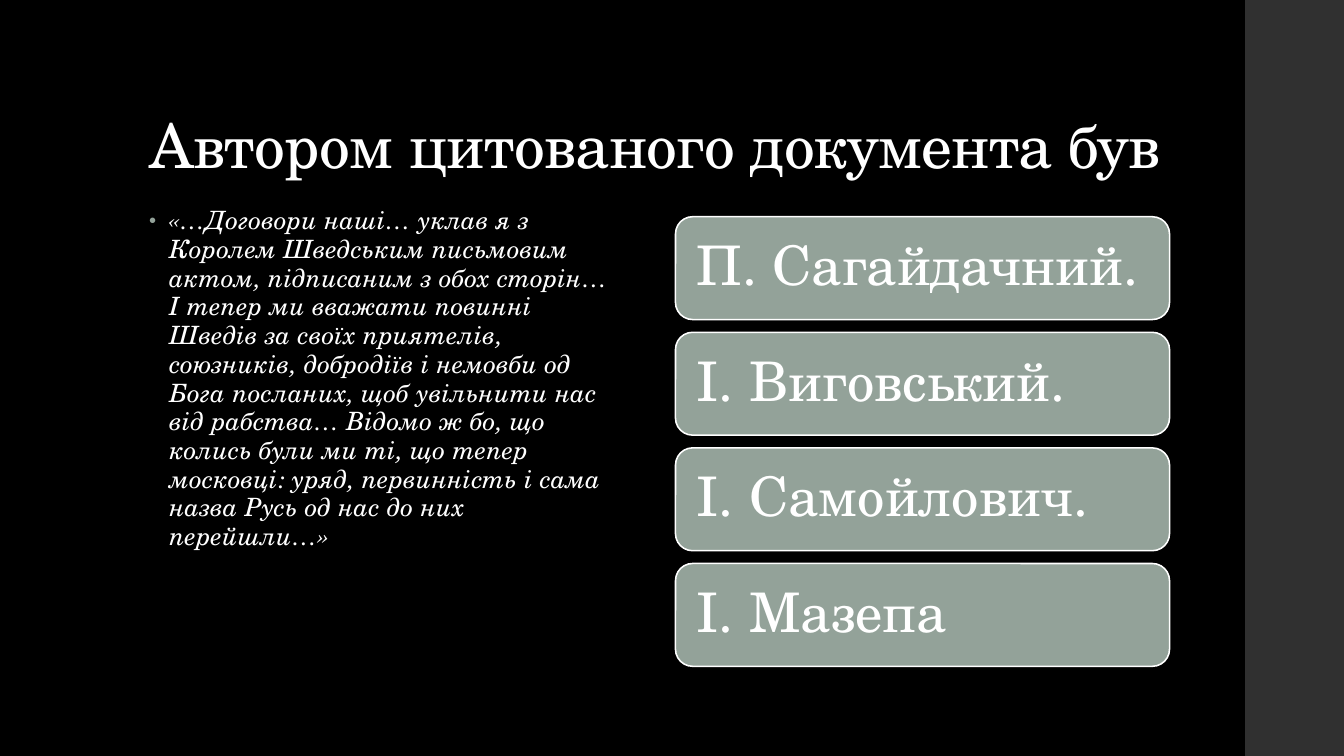
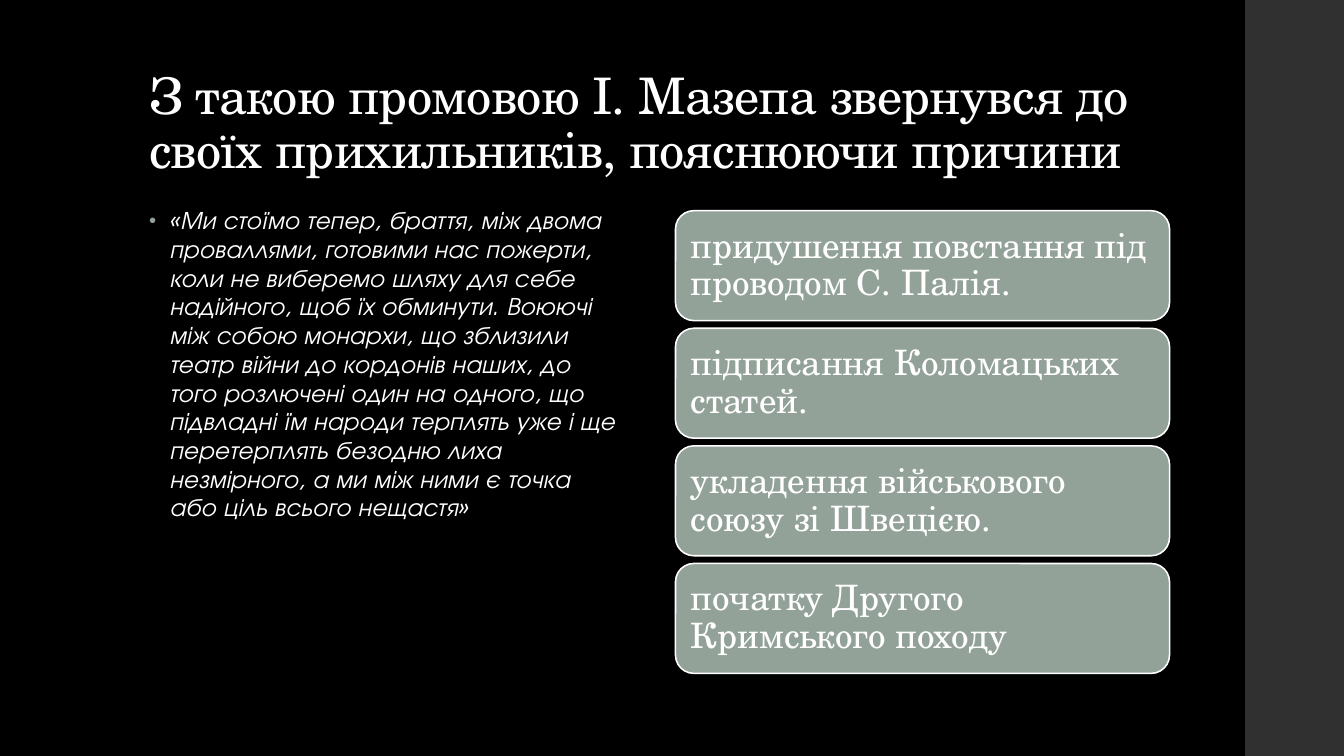
from lxml import etree
from pptx import Presentation
from pptx.dml.color import RGBColor
from pptx.enum import shapes, text
from pptx.oxml import ns
from pptx.util import Inches, Pt

BLACK = RGBColor(0x00, 0x00, 0x00)
CHARCOAL = RGBColor(0x30, 0x30, 0x30)
SAGE = RGBColor(0x93, 0xA2, 0x99)
WHITE = RGBColor(0xFF, 0xFF, 0xFF)

SERIF = "TeX Gyre Schola"
SANS = "TeX Gyre Adventor"

ANSWER_LEFT, ANSWER_WIDTH, LAST_ANSWER_TOP = 6.7, 4.9, 5.59

QUESTIONS = [
    {
        "title": "Автором цитованого документа був",
        "title_top": 0.4,
        "title_size": 44,
        "quote": "«…Договори наші… уклав я з Королем Шведським письмовим актом, "
                 "підписаним з обох сторін… І тепер ми вважати повинні Шведів за своїх "
                 "приятелів, союзників, добродіїв і немовби од Бога посланих, щоб увільнити "
                 "нас від рабства… Відомо ж бо, що колись були ми ті, що тепер московці: "
                 "уряд, первинність і сама назва Русь од нас до них перейшли…»",
        "quote_font": SERIF,
        "answers": ["П. Сагайдачний.", "І. Виговський.", "І. Самойлович.", "І. Мазепа"],
        "answer_style": {"top": 2.15, "height": 1.02, "size": 39, "inset": 0.16},
    },
    {
        "title": "З такою промовою І. Мазепа звернувся до своїх прихильників, "
                 "пояснюючи причини",
        "title_top": 0.38,
        "title_size": 36,
        "quote": "«Ми стоїмо тепер, браття, між двома проваллями, готовими нас пожерти, "
                 "коли не виберемо шляху для себе надійного, щоб їх обминути. Воюючі між "
                 "собою монархи, що зблизили театр війни до кордонів наших, до того "
                 "розлючені один на одного, що підвладні їм народи терплять уже і ще "
                 "перетерплять безодню лиха незмірного, а ми між ними є точка або ціль "
                 "всього нещастя»",
        "quote_font": SANS,
        "answers": [
            "придушення повстання під проводом С. Палія.",
            "підписання Коломацьких статей.",
            "укладення військового союзу зі Швецією.",
            "початку Другого Кримського походу",
        ],
        "answer_style": {"top": 2.09, "height": 1.09, "size": 25, "inset": 0.1},
    },
]


def apply(target, values):
    for name, value in values.items():
        setattr(target, name, value)


class QuizDeck:
    """Holds the shared style and the slide being built."""

    def __init__(self):
        self.deck = Presentation()
        self.deck.slide_width, self.deck.slide_height = Inches(13.33), Inches(7.5)
        background = self.deck.slide_master.background.fill
        background.solid()
        background.fore_color.rgb = BLACK
        self.page = None

    def new_page(self):
        self.page = self.deck.slides.add_slide(self.deck.slide_layouts[1])

    def master_band(self):
        """Draw the side band and move it to the master, behind everything."""
        band = self.block(shapes.MSO_SHAPE.RECTANGLE, 12.35, 0, 0.98, 7.5, CHARCOAL)
        band.line.fill.background()
        self.deck.slide_master.shapes.element.insert(2, band.element)

    def block(self, kind, left, top, width, height, color):
        box = self.page.shapes.add_shape(
            kind, Inches(left), Inches(top), Inches(width), Inches(height))
        box.shadow.inherit = False
        box.fill.solid()
        box.fill.fore_color.rgb = color
        return box

    def place(self, box, left, top, width, height):
        apply(box, {"left": Inches(left), "top": Inches(top),
                    "width": Inches(width), "height": Inches(height)})

    def add_words(self, box, words, anchor, line_spacing, tracking=0, **font):
        """Fill the box with one left-aligned paragraph; tracking is in points."""
        apply(box.text_frame, {"word_wrap": True, "vertical_anchor": anchor,
                               "auto_size": text.MSO_AUTO_SIZE.NONE})
        para = box.text_frame.paragraphs[0]
        apply(para, {"alignment": text.PP_ALIGN.LEFT, "line_spacing": line_spacing,
                     "space_before": Pt(0)})
        span = para.add_run()
        span.text = words
        apply(span.font, {"name": SERIF, **font})
        span.font.color.rgb = WHITE
        if tracking:
            span._r.get_or_add_rPr().set("spc", str(round(tracking * 100)))
        return para

    def title(self, words, top, size):
        box = self.page.shapes.title
        self.place(box, 1.38, top, 10.6, 1.45)
        self.add_words(box, words, text.MSO_ANCHOR.BOTTOM, 0.9, -0.5, size=Pt(size))

    def quote(self, words, font):
        box = self.page.placeholders[1]
        self.place(box, 1.38, 2, 4.9, 4.76)
        para = self.add_words(box, words, text.MSO_ANCHOR.TOP, 0.95, 0.1,
                              name=font, size=Pt(18), italic=True)
        self.bullet(para)
        para.space_after = Pt(2)

    def bullet(self, para):
        properties = para._p.get_or_add_pPr()
        properties.set("marL", str(Inches(0.2)))
        properties.set("indent", str(-Inches(0.2)))
        color = etree.SubElement(properties, ns.qn("a:buClr"))
        etree.SubElement(color, ns.qn("a:srgbClr"), val=str(SAGE))
        etree.SubElement(properties, ns.qn("a:buSzPct"), val="80000")
        etree.SubElement(properties, ns.qn("a:buFont"), typeface="Arial")
        etree.SubElement(properties, ns.qn("a:buChar"), char="•")

    def answers(self, options, top, height, size, inset):
        pitch = (LAST_ANSWER_TOP - top) / (len(options) - 1)
        margins = dict.fromkeys(
            ("margin_left", "margin_top", "margin_right", "margin_bottom"), Inches(inset))
        for index, option in enumerate(options):
            box = self.block(shapes.MSO_SHAPE.ROUNDED_RECTANGLE, ANSWER_LEFT,
                             top + index * pitch, ANSWER_WIDTH, height, SAGE)
            box.line.color.rgb = WHITE
            box.line.width = Pt(1.1)
            apply(box.text_frame, margins)
            self.add_words(box, option, text.MSO_ANCHOR.MIDDLE, 0.9, size=Pt(size))


def main():
    quiz = QuizDeck()
    for number, question in enumerate(QUESTIONS):
        quiz.new_page()
        if number == 0:
            quiz.master_band()
        quiz.title(question["title"], question["title_top"], question["title_size"])
        quiz.quote(question["quote"], question["quote_font"])
        quiz.answers(question["answers"], **question["answer_style"])
    quiz.deck.save("out.pptx")


if __name__ == "__main__":
    main()
